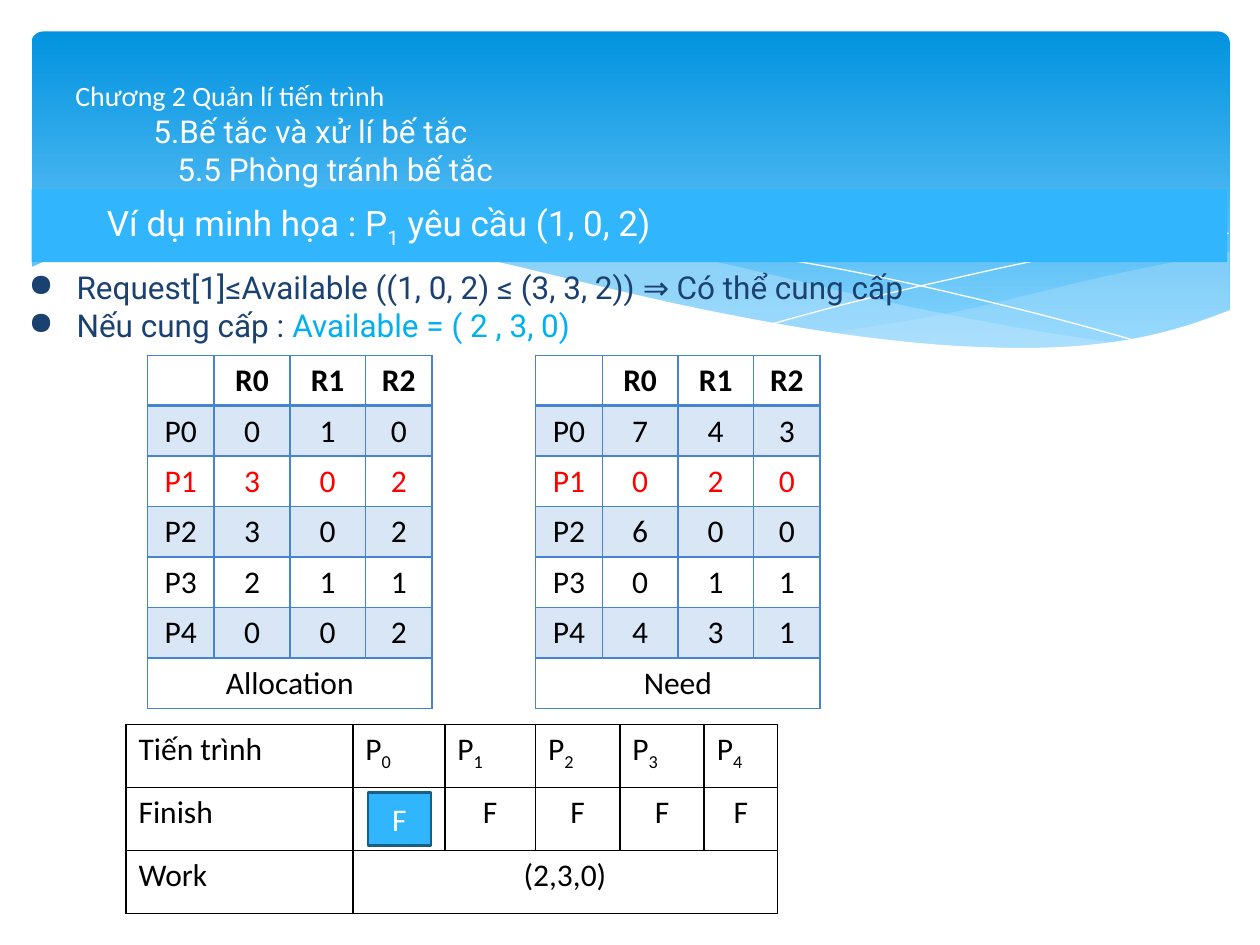
from dataclasses import dataclass

from lxml import etree
from pptx import Presentation
from pptx import util as u
from pptx.dml.color import RGBColor
from pptx.enum import shapes, text
from pptx.oxml.ns import qn


@dataclass(frozen=True)
class Theme:
    head: str = "Roboto"
    body: str = "Calibri"
    white: str = "FFFFFF"
    black: str = "000000"
    red: str = "FF0000"
    navy: str = "1B4171"
    aqua: str = "00B0F0"
    sky: str = "31B6FD"
    edge: str = "195F84"
    grid: str = "4584D3"
    deep: str = "0293E0"
    pale: str = "83D3FE"
    mist: str = "C6E7FC"
    small: int = 16
    norm: int = 18
    large: int = 20


T = Theme()
MID = text.PP_ALIGN.CENTER
SUB = {"base": -25}

# Knots of the wave curves, in grid units
BACK = [(97.5, 20), (92.1, 21), (86.1, 22.3), (77.9, 24.3), (72.9, 25.3),
        (66.1, 26.5), (69.1, 26.9), (73.2, 27.4), (78.1, 27.7), (83.5, 27.7),
        (88.1, 27.3), (92.1, 26.5), (94.9, 25.7), (97.6, 24.7)]
FRONT = [(89.3, 27.3), (83.7, 26.5), (77.5, 25.4), (70.6, 24), (62.9, 22.2),
         (56.9, 20.8), (51.4, 19.8), (46.4, 19.1), (42, 18.7), (36.1, 18.6),
         (31.3, 18.8), (28.6, 19.1), (34.2, 19.9), (40.4, 21.1), (49.1, 23.2),
         (56.6, 24.8), (63.4, 26.1), (69.5, 27), (74.8, 27.6), (80.7, 27.9),
         (84.8, 27.8), (89.3, 27.3)]
FALL = [(30.9, 19.5), (34.3, 19), (38.7, 18.7), (43.3, 18.7), (48.9, 19),
        (55.6, 19.7), (63.6, 20.8), (72.7, 22.6), (83.1, 25.1), (90.7, 27.2)]
RISE = [(61.3, 25.7), (67.2, 24.1), (74.8, 22.3), (83.6, 20.4), (91, 19.2),
        (97.5, 18.5)]
CREST = [(97.7, 24.6), (94, 25.9), (89.9, 26.9), (85, 27.5), (79.3, 27.6),
         (72.6, 27.2), (64.7, 26.2), (55.5, 24.5), (47.5, 22.7), (39.1, 20.7),
         (33.9, 19.7), (27.1, 18.8), (21.1, 18.4), (16.1, 18.4), (11.9, 18.7),
         (8.5, 19.3), (5.2, 20.1), (2.3, 21.3)]


def at(*spots):
    """Grid of 100 columns by 75 rows, 0.1 inch each."""
    return [u.Inches(s / 10) for s in spots]


def rgb(tone):
    return RGBColor.from_string(tone)


def fade(part, share):
    tint = next(part.iter(qn("a:srgbClr")))
    etree.SubElement(tint, qn("a:alpha"), val=str(share * 1000))


def say(frame, paras, font=T.body, size=T.norm, tone=T.black, bold=False,
        align=None, left=0, hang=0, dot=None):
    """Each paragraph is a list of (words, changes) runs."""
    frame.word_wrap = True
    for i, runs in enumerate(paras):
        para = frame.add_paragraph() if i else frame.paragraphs[0]
        para.alignment = align or text.PP_ALIGN.LEFT
        props = para._p.get_or_add_pPr()
        for words, new in runs:
            run = para.add_run()
            run.text = words
            run.font.name = new.get("font", font)
            run.font.size = u.Pt(new.get("size", size))
            run.font.bold = bold
            run.font.color.rgb = rgb(new.get("tone", tone))
            if "base" in new:
                run._r.get_or_add_rPr().set("baseline", str(new["base"] * 1000))
        props.set("marL", str(u.Inches(runs[0][1].get("left", left))))
        props.set("indent", str(u.Inches(-hang)))
        if dot:
            etree.SubElement(props, qn("a:buChar"), char=dot)


def box(slide, spot, fill=None, line=None, kind=shapes.MSO_SHAPE.RECTANGLE):
    shape = slide.shapes.add_shape(kind, *at(*spot))
    paint(shape, fill, line, 1.25)
    shape.text_frame.vertical_anchor = text.MSO_ANCHOR.MIDDLE
    return shape


def paint(shape, fill=None, line=None, width=0):
    shape.shadow.inherit = False
    if fill:
        shape.fill.solid()
        shape.fill.fore_color.rgb = rgb(fill)
    else:
        shape.fill.background()
    if line:
        shape.line.color.rgb = rgb(line)
        shape.line.width = u.Pt(width)
    else:
        shape.line.fill.background()


def curve(knots, steps=4):
    """Catmull-Rom points through the knots."""
    ends = [knots[0], *knots, knots[-1]]
    out = [knots[0]]
    for a, b, c, d in zip(ends, ends[1:], ends[2:], ends[3:]):
        for k in range(1, steps + 1):
            t = k / steps
            out.append(tuple(
                (2 * q + (r - p) * t + (2 * p - 5 * q + 4 * r - s) * t ** 2
                 + (3 * q - p - 3 * r + s) * t ** 3) / 2
                for p, q, r, s in zip(a, b, c, d)))
    return out


def wave(slide, knots, fill=None, line=None, share=None, tail=()):
    first, *rest = [at(*p) for p in curve(knots) + list(tail)]
    pen = slide.shapes.build_freeform(*first)
    pen.add_line_segments(rest, close=bool(fill))
    shape = pen.convert_to_shape()
    paint(shape, fill, line)
    if share:
        fade(shape._element.spPr, share)


def rule(cell, tone, **widths):
    props = cell._tc.get_or_add_tcPr()
    for side in "LRTB":
        line = etree.SubElement(props, qn("a:ln" + side),
                                w=str(u.Pt(widths.get(side, 1))))
        fill = etree.SubElement(line, qn("a:solidFill"))
        etree.SubElement(fill, qn("a:srgbClr"), val=tone)


def table(slide, left, top, cols, high, count):
    shape = slide.shapes.add_table(
        count, len(cols), *at(left, top, sum(cols), high * count))
    grid = shape.table
    grid.first_row = grid.horz_banding = False
    for col, wide in zip(grid.columns, cols):
        col.width = at(wide)[0]
    return grid


def matrix(slide, left, name, rows):
    """Resource counts by process, with the name in the last row."""
    heads = ["", "R0", "R1", "R2"]
    lines = [heads, *([f"P{i}", *row] for i, row in enumerate(rows)), [name]]
    grid = table(slide, left, 28.2, [5.3, 6, 6, 5.3], 4, len(lines))
    last = len(lines) - 1
    grid.cell(last, 0).merge(grid.cell(last, 3))
    for r, line in enumerate(lines):
        for c in range(len(heads)):
            cell = grid.cell(r, c)
            rule(cell, T.grid, T=2 if r == 1 else 1, B=1 if r else 2)
            if r % 2:
                cell.fill.solid()
                cell.fill.fore_color.rgb = rgb(T.grid)
                fade(cell._tc.tcPr.find(qn("a:solidFill")), 20)
            else:
                cell.fill.background()
            if c < len(line) and line[c] != "":
                say(cell.text_frame, [[(str(line[c]), {})]], bold=r == 0,
                    align=MID, tone=T.red if r == 2 else T.black)


def state(slide):
    """Progress of the safety check."""
    tags = [[("P", {}), (str(i), SUB)] for i in range(5)]
    rows = [[[("Tiến trình", {})], *tags],
            [[("Finish", {})], *[[("F", {})]] * 5],
            [[("Work", {})], [("(2,3,0)", {})]]]
    grid = table(slide, 10, 57.5, [18, 7.3, 7.2, 6.7, 6.7, 5.8], 5, len(rows))
    grid.cell(2, 1).merge(grid.cell(2, 5))
    for r, row in enumerate(rows):
        for c in range(len(grid.columns)):
            cell = grid.cell(r, c)
            rule(cell, T.black)
            cell.fill.background()
            if c < len(row):
                say(cell.text_frame, [row[c]], align=MID if r and c else None)


def scene(slide):
    """Blue panel with waves."""
    panel = box(slide, (2.5, 2.5, 95.1, 27), T.deep,
                kind=shapes.MSO_SHAPE.ROUNDED_RECTANGLE)
    panel.adjustments[0] = 0.034
    panel.fill.gradient()
    panel.fill.gradient_angle = 270
    for stop, tone, pos in zip(panel.fill.gradient_stops,
                               (T.deep, T.pale), (0, 0.9)):
        stop.color.rgb, stop.position = rgb(tone), pos
    wave(slide, BACK, T.mist, share=29, tail=[(97.6, 20)])
    wave(slide, FRONT, T.mist, share=40)
    wave(slide, FALL, line=T.white)
    wave(slide, RISE, line=T.white)
    wave(slide, CREST, T.white, tail=[(2.3, 32.9), (97.7, 32.9)])


def main():
    deck = Presentation()
    deck.slide_width, deck.slide_height = at(100, 75)
    slide = deck.slides.add_slide(deck.slide_layouts[6])
    scene(slide)

    # Headings
    title = slide.shapes.add_textbox(*at(5, 3.7, 90, 13.7)).text_frame
    title.vertical_anchor = text.MSO_ANCHOR.MIDDLE
    say(title, [
        [("Chương 2 Quản lí tiến trình", {"font": T.body, "size": T.small})],
        [("5.Bế tắc và xử lí bế tắc", {"left": 0.62})],
        [("5.5 Phòng tránh bế tắc", {"left": 0.81})]],
        font=T.head, tone=T.white)
    band = box(slide, (2.5, 15, 94.9, 5.8), T.sky)
    say(band.text_frame, [[("Ví dụ minh họa : P", {}), ("1", SUB),
                           (" yêu cầu (1, 0, 2)", {})]],
        font=T.head, size=T.large, tone=T.white, left=0.5)

    # Request check
    notes = slide.shapes.add_textbox(*at(1.3, 20.8, 95.7, 7.1)).text_frame
    say(notes, [
        [("Request[1]≤Available ((1, 0, 2) ≤ (3, 3, 2)) ⇒ Có thể cung cấp", {})],
        [("Nếu cung cấp : ", {}),
         ("Available = ( 2 , 3, 0)", {"tone": T.aqua})]],
        font=T.head, tone=T.navy, left=0.38, hang=0.38, dot="●")

    # Tables
    matrix(slide, 11.7, "Allocation",
           [(0, 1, 0), (3, 0, 2), (3, 0, 2), (2, 1, 1), (0, 0, 2)])
    matrix(slide, 42.5, "Need",
           [(7, 4, 3), (0, 2, 0), (6, 0, 0), (0, 1, 1), (4, 3, 1)])
    state(slide)
    mark = box(slide, (29.2, 62.9, 5, 4.2), T.sky, T.edge)
    say(mark.text_frame, [[("F", {})]], tone=T.white, align=MID)
    deck.save("out.pptx")


if __name__ == "__main__":
    main()
